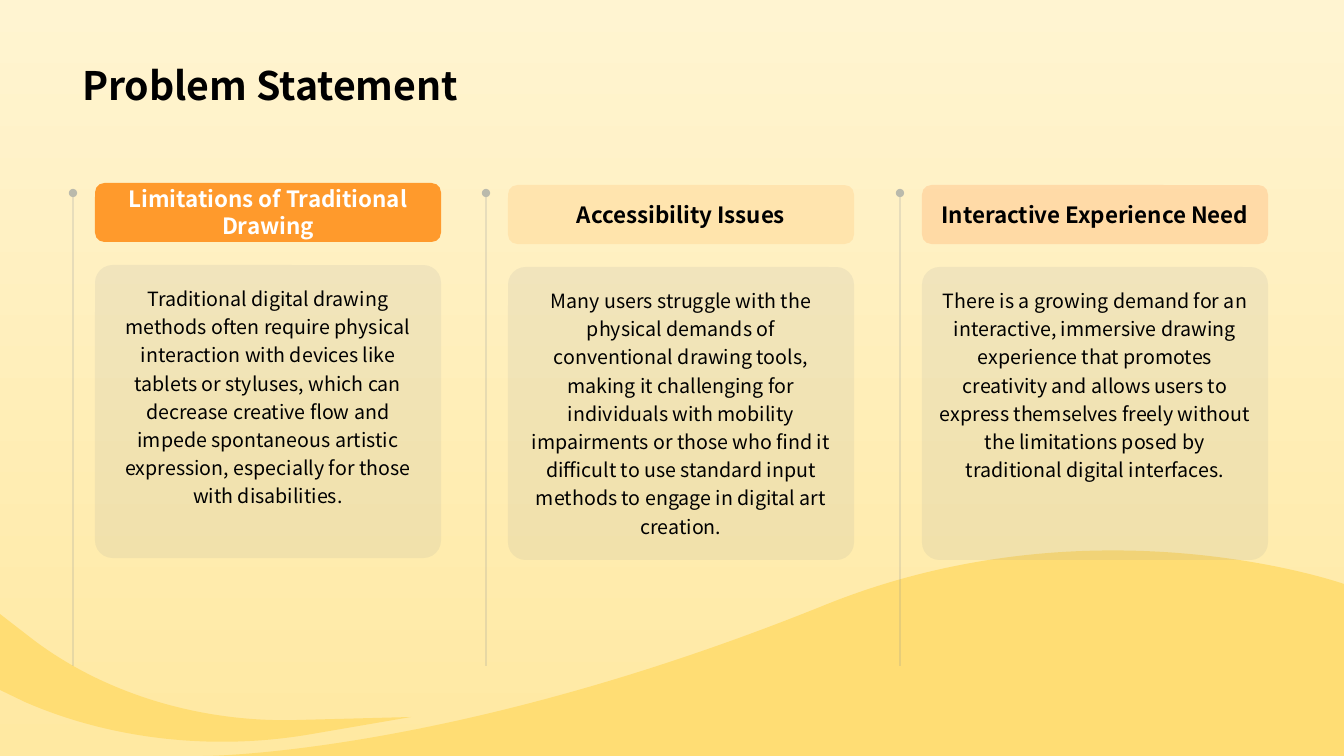
from dataclasses import dataclass

from lxml.etree import SubElement
from pptx import Presentation
from pptx.dml.color import RGBColor
from pptx.enum.shapes import MSO_CONNECTOR as CONN, MSO_SHAPE as SHAPE
from pptx.enum.text import MSO_ANCHOR as ANCHOR, MSO_AUTO_SIZE as AUTO, PP_ALIGN as ALIGN
from pptx.oxml.ns import qn
from pptx.util import Emu, Pt

TITLE = "Problem Statement"
CARDS = [
    ("Limitations of Traditional Drawing",
     "Traditional digital drawing methods often require physical interaction with devices like "
     "tablets or styluses, which can decrease creative flow and impede spontaneous artistic "
     "expression, especially for those with disabilities.",
     "FF9A2C", 100, "FFFFFF", 183),
    ("Accessibility Issues",
     "Many users struggle with the physical demands of conventional drawing tools, making it "
     "challenging for individuals with mobility impairments or those who find it difficult to "
     "use standard input methods to engage in digital art creation.",
     "FF9A2C", 15, "000000", 185),
    ("Interactive Experience Need",
     "There is a growing demand for an interactive, immersive drawing experience that promotes "
     "creativity and allows users to express themselves freely without the limitations posed by "
     "traditional digital interfaces.",
     "FF5900", 15, "000000", 185),
]
HILL_BOX = (203, 550, 1344, 756)
HILL = [("moveTo", (825, 605)),
        ("cubicBezTo", (1095, 496), (1344, 584), (1344, 584)),
        ("lnTo", (1344, 756)),
        ("lnTo", (203, 756)),
        ("cubicBezTo", (203, 756), (451, 756), (825, 605))]
RIBBON_BOX = (0, 614, 411, 742)
RIBBON = [("moveTo", (0, 614)),
          ("lnTo", (31, 638)),
          ("cubicBezTo", (101, 692), (198, 723), (298, 720)),
          ("lnTo", (411, 717)),
          ("lnTo", (312, 734)),
          ("cubicBezTo", (215, 751), (112, 740), (25, 702)),
          ("lnTo", (0, 690))]


@dataclass(frozen=True)
class Theme:
    font: str = "Noto Sans CJK SC"
    title_size: int = 28
    head_size: int = 16
    body_size: int = 14
    ink: str = "000000"
    grey: str = "778495"
    wave: str = "FFDD74"
    bg_bottom: str = "FFE9A2"
    bg_top: str = "FFF4D1"


THEME = Theme()
RULE_LEFT, RULE_TOP, RULE_BOTTOM = 73, 193, 666
PITCH_2X = 827
CARD_INDENT, CARD_W, HEAD_H, BODY_H, CARD_GAP = 22, 346, 59, 293, 23
INSET = 12


def px(n):
    return Emu(round(n * 914400 / 100.8))


def rgb(code):
    return RGBColor.from_string(code)


def set_alpha(fill_xml, percent):
    SubElement(fill_xml.find(".//" + qn("a:srgbClr")), qn("a:alpha"), val=str(percent * 1000))


def add_wave(slide, box, outline):
    left, top, right, bottom = box
    builder = slide.shapes.build_freeform(px(left), px(top), scale=1.0)
    builder.add_line_segments([(px(right), px(top)), (px(right), px(bottom)), (px(left), px(bottom))])
    sp = builder.convert_to_shape()
    curve = sp._element.find(".//" + qn("a:path"))
    for child in list(curve):
        curve.remove(child)
    for command, *points in outline:
        segment = SubElement(curve, qn("a:" + command))
        for x, y in points:
            SubElement(segment, qn("a:pt"), x=str(px(x - left)), y=str(px(y - top)))
    SubElement(curve, qn("a:close"))
    sp.shadow.inherit = False
    sp.fill.solid()
    sp.fill.fore_color.rgb = rgb(THEME.wave)
    sp.line.fill.background()


def add_rule(slide, x):
    rule = slide.shapes.add_connector(CONN.STRAIGHT, px(x), px(RULE_TOP), px(x), px(RULE_BOTTOM))
    rule.line.width = Pt(0.5)
    rule.line.color.rgb = rgb(THEME.grey)
    ln = rule.line._ln
    set_alpha(ln, 50)
    SubElement(ln, qn("a:headEnd"), type="oval")
    SubElement(rule._element.spPr, qn("a:effectLst"))


def set_text(tf, text, size, color, bold=False, align=ALIGN.CENTER, spacing=1.0):
    tf.text = text
    p = tf.paragraphs[0]
    p.alignment = align
    p.line_spacing = spacing
    font = p.runs[0].font
    font.name, font.size, font.bold = THEME.font, Pt(size), bold
    font.color.rgb = rgb(color)


def add_panel(slide, x, y, h, radius, fill, opacity, anchor):
    sp = slide.shapes.add_shape(SHAPE.ROUNDED_RECTANGLE, px(x), px(y), px(CARD_W), px(h))
    sp.adjustments[0] = radius
    sp.shadow.inherit = False
    sp.line.fill.background()
    sp.fill.solid()
    sp.fill.fore_color.rgb = rgb(fill)
    if opacity < 100:
        set_alpha(sp._element.spPr, opacity)
    tf = sp.text_frame
    tf.word_wrap = True
    tf.vertical_anchor = anchor
    tf.margin_left = tf.margin_right = tf.margin_top = tf.margin_bottom = px(INSET)
    return tf


def main():
    prs = Presentation()
    prs.slide_width, prs.slide_height = px(1344), px(756)
    slide = prs.slides.add_slide(prs.slide_layouts[5])

    bg = slide.background.fill
    bg.gradient()
    bg.gradient_angle = 90
    for stop, color in zip(bg.gradient_stops, (THEME.bg_bottom, THEME.bg_top)):
        stop.color.rgb = rgb(color)

    for box, outline in ((HILL_BOX, HILL), (RIBBON_BOX, RIBBON)):
        add_wave(slide, box, outline)

    title = slide.shapes.title
    title.left, title.top, title.width, title.height = px(72), px(14), px(1198), px(99)
    tf = title.text_frame
    tf.auto_size = AUTO.NONE
    tf.vertical_anchor = ANCHOR.BOTTOM
    set_text(tf, TITLE, THEME.title_size, THEME.ink, True, ALIGN.LEFT)

    for i, (head, body, fill, opacity, color, top) in enumerate(CARDS):
        rule_x = RULE_LEFT + i * PITCH_2X // 2
        add_rule(slide, rule_x)
        x = rule_x + CARD_INDENT
        tf = add_panel(slide, x, top + HEAD_H + CARD_GAP, BODY_H, 0.06, THEME.grey, 10, ANCHOR.TOP)
        set_text(tf, body, THEME.body_size, THEME.ink, spacing=1.2)
        tf = add_panel(slide, x, top, HEAD_H, 0.16, fill, opacity, ANCHOR.MIDDLE)
        set_text(tf, head, THEME.head_size, color, True)

    prs.save("out.pptx")


if __name__ == "__main__":
    main()
